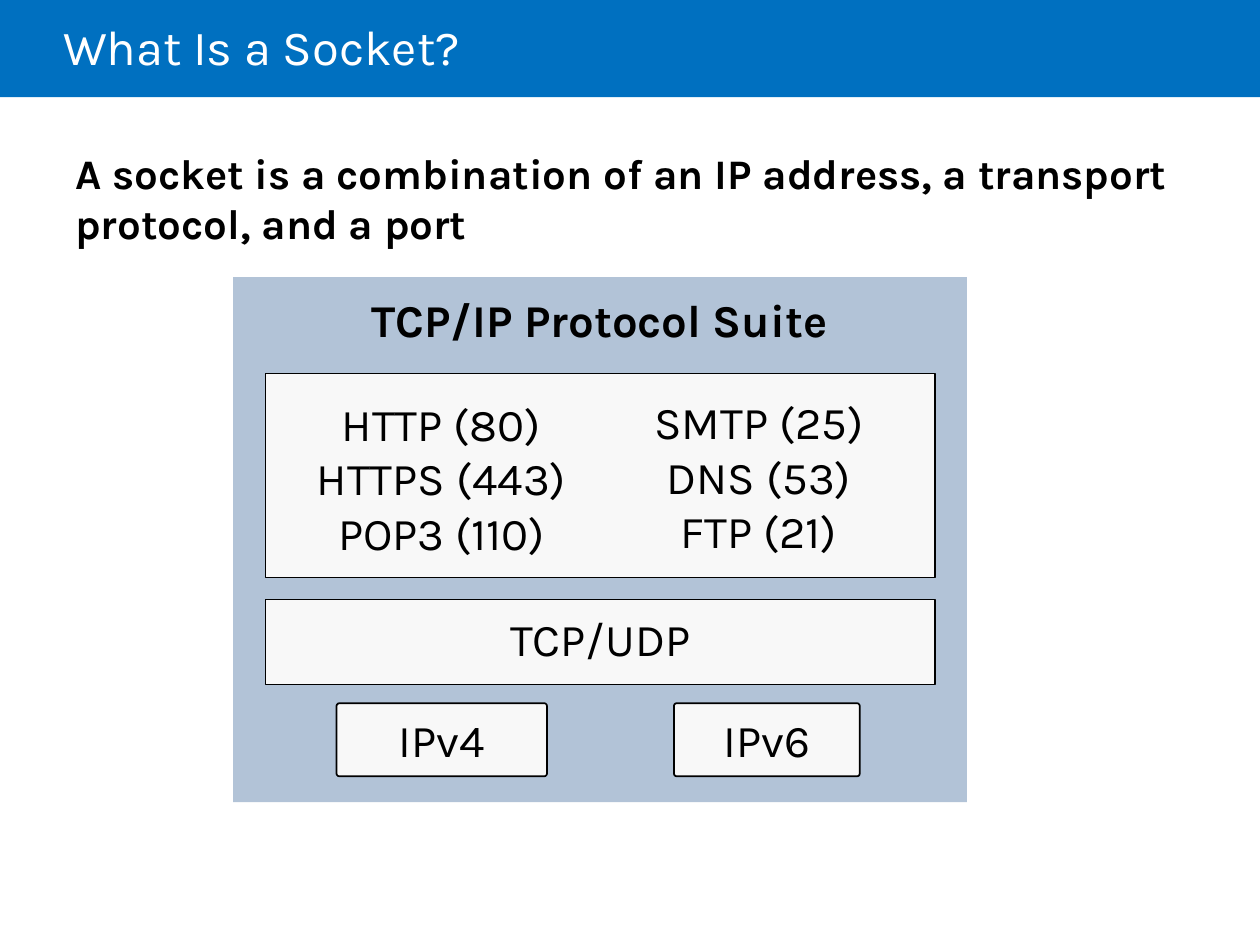
from dataclasses import dataclass

from pptx import Presentation
from pptx.dml.color import RGBColor
from pptx.enum.shapes import MSO_SHAPE as Preset
from pptx.enum.text import MSO_ANCHOR as Anchor, PP_ALIGN as Align
from pptx.util import Pt

COLORS = {
    "banner": "0070C0",
    "suite": "B2C3D7",
    "layer": "F8F8F8",
    "white": "FFFFFF",
    "black": "000000",
}
FONT = "Karla"


@dataclass
class Area:
    left: float
    top: float
    width: float
    height: float

    def points(self) -> tuple:
        return Pt(self.left), Pt(self.top), Pt(self.width), Pt(self.height)


@dataclass
class Text:
    lines: tuple = ()
    size: float = 26
    bold: bool = False
    color: str = "black"
    align: Align = Align.CENTER
    anchor: Anchor = Anchor.MIDDLE
    spacing: float = 1.0
    inset_left: float = 7.2
    inset_top: float = 3.6


@dataclass
class Box:
    area: Area
    text: Text
    fill: str = "layer"
    line_width: float = 0
    corner: float = 0
    preset: Preset = Preset.ROUNDED_RECTANGLE


def write_text(shape, text: Text) -> None:
    frame = shape.text_frame
    frame.word_wrap = True
    frame.vertical_anchor = text.anchor
    frame.margin_left, frame.margin_right = Pt(text.inset_left), Pt(7.2)
    frame.margin_top, frame.margin_bottom = Pt(text.inset_top), Pt(3.6)
    for index, line in enumerate(text.lines):
        paragraph = frame.add_paragraph() if index else frame.paragraphs[0]
        paragraph.alignment = text.align
        paragraph.line_spacing = text.spacing
        paragraph.space_before = Pt(0)
        run = paragraph.add_run()
        run.text = line
        run.font.name = FONT
        run.font.size = Pt(text.size)
        run.font.bold = text.bold
        run.font.color.rgb = RGBColor.from_string(COLORS[text.color])


def draw_box(slide, box: Box):
    shape = slide.shapes.add_shape(box.preset, *box.area.points())
    shape.shadow.inherit = False
    if box.preset == Preset.ROUNDED_RECTANGLE:
        shape.adjustments[0] = box.corner
    shape.fill.solid()
    shape.fill.fore_color.rgb = RGBColor.from_string(COLORS[box.fill])
    if box.line_width:
        shape.line.width = Pt(box.line_width)
        shape.line.color.rgb = RGBColor.from_string(COLORS["black"])
    else:
        shape.line.fill.background()
    write_text(shape, box.text)
    return shape


def draw_text(slide, area: Area, text: Text) -> None:
    write_text(slide.shapes.add_textbox(*area.points()), text)


def draw_title(slide, area: Area, text: Text) -> None:
    title = slide.shapes.title
    title.left, title.top, title.width, title.height = area.points()
    write_text(title, text)
    banner = draw_box(slide, Box(Area(0, 0, 720, 55.5), Text(), "banner", preset=Preset.RECTANGLE))
    title.element.addprevious(banner.element)


def main() -> None:
    presentation = Presentation()
    presentation.slide_width, presentation.slide_height = Pt(720), Pt(540)
    slide = presentation.slides.add_slide(presentation.slide_layouts[5])

    draw_title(
        slide,
        Area(36, 0, 612, 58.3),
        Text(("What Is a Socket?",), 28, color="white", align=Align.LEFT, spacing=0.85, inset_left=0),
    )
    draw_text(
        slide,
        Area(36, 80.6, 639.4, 405.4),
        Text(
            ("A socket is a combination of an IP address, a transport protocol, and a port",),
            24, bold=True, align=Align.LEFT, anchor=Anchor.TOP,
        ),
    )

    suite = Text(("TCP/IP Protocol Suite",), bold=True, anchor=Anchor.TOP, spacing=0.8, inset_top=14.4)
    layer_left, layer_width = 151.9, 382.4
    address_top, address_height = 401.8, 41.8
    boxes = (
        Box(Area(133.2, 158.4, 419.3, 300), suite, "suite"),
        Box(Area(layer_left, 213.3, layer_width, 116.6), Text(), line_width=0.75),
        Box(Area(layer_left, 342.7, layer_width, 48.4), Text(("TCP/UDP",), spacing=0.9), line_width=0.75),
        Box(Area(192.3, address_top, 120.3, address_height), Text(("IPv4",)), line_width=1, corner=0.04),
        Box(Area(385.1, address_top, 106.2, address_height), Text(("IPv6",)), line_width=1, corner=0.04),
    )
    for box in boxes:
        draw_box(slide, box)

    services = (
        (Area(169.9, 222.5, 164.9, 101.5), ("HTTP (80)", "HTTPS (443)", "POP3 (110)")),
        (Area(352.1, 221.8, 163.4, 101.5), ("SMTP (25)", "DNS (53)", "FTP (21)")),
    )
    for area, lines in services:
        draw_text(slide, area, Text(lines, anchor=Anchor.TOP))

    presentation.save("out.pptx")


if __name__ == "__main__":
    main()
